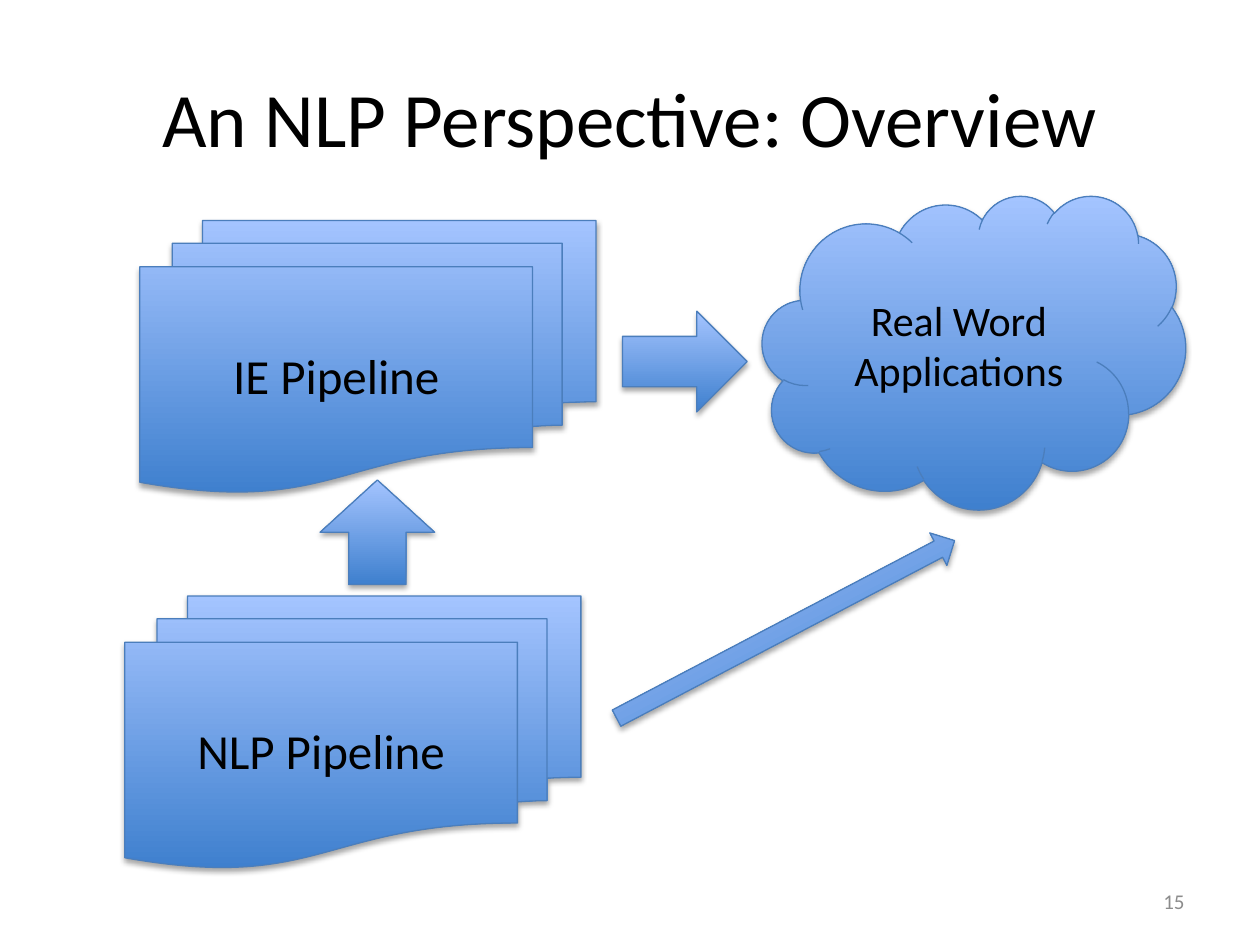
from lxml.etree import SubElement
from pptx import Presentation
from pptx.dml.color import RGBColor
from pptx.enum.shapes import MSO_SHAPE as Preset
from pptx.enum.text import MSO_ANCHOR as Anchor, PP_ALIGN as Align
from pptx.oxml.ns import qn
from pptx.util import Inches, Pt

COLORS = {
    "text": "000000",
    "number": "8C8C8C",
    "bottom": "3F80CE",
    "top": "A4C4FF",
    "outline": "4B7EBC",
    "shadow": "000000",
}


def color(name):
    return RGBColor.from_string(COLORS[name])


def write_text(shape, text, size=28, ink="text", align=Align.CENTER):
    frame = shape.text_frame
    frame.word_wrap = True
    frame.vertical_anchor = Anchor.MIDDLE
    paragraph = frame.paragraphs[0]
    paragraph.text = text
    paragraph.alignment = align
    paragraph.font.name = "Calibri"
    paragraph.font.size = Pt(size)
    paragraph.font.color.rgb = color(ink)


class PipelineSlide:
    def __init__(self, presentation):
        self.slide = presentation.slides.add_slide(presentation.slide_layouts[5])

    def title(self, text, left, top, width, height):
        shape = self.slide.shapes.title
        shape.left, shape.top = Inches(left), Inches(top)
        shape.width, shape.height = Inches(width), Inches(height)
        write_text(shape, text, size=44)

    def label(self, text, left, top, width, height, **style):
        shape = self.slide.shapes.add_textbox(
            Inches(left), Inches(top), Inches(width), Inches(height))
        write_text(shape, text, **style)

    def block(self, preset, left, top, width, height, text=None, size=28, rotation=0):
        shape = self.slide.shapes.add_shape(
            preset, Inches(left), Inches(top), Inches(width), Inches(height))
        shape.rotation = rotation
        shape.fill.gradient()
        shape.fill.gradient_angle = 90
        for stop, name, position in zip(shape.fill.gradient_stops, ("bottom", "top"), (0, 1)):
            stop.color.rgb = color(name)
            stop.position = position
        shape.line.color.rgb = color("outline")
        shape.line.width = Pt(0.75)
        self.add_shadow(shape)
        if text:
            write_text(shape, text, size=size)

    def add_shadow(self, shape):
        shape.shadow.inherit = False
        effects = shape.element.spPr.find(qn("a:effectLst"))
        shadow = SubElement(effects, qn("a:outerShdw"), blurRad=str(Pt(3.1)),
                            dist=str(Pt(1.8)), dir="5400000", rotWithShape="0")
        tint = SubElement(shadow, qn("a:srgbClr"), val=COLORS["shadow"])
        SubElement(tint, qn("a:alpha"), val="35000")


def main():
    presentation = Presentation()
    presentation.slide_width, presentation.slide_height = Inches(10), Inches(7.5)
    page = PipelineSlide(presentation)
    page.title("An NLP Perspective: Overview", 0.5, 0.3, 9, 1.25)
    for text, left, top in (("NLP Pipeline", 0.99, 4.73), ("IE Pipeline", 1.11, 1.75)):
        page.block(Preset.FLOWCHART_MULTIDOCUMENT, left, top, 3.62, 2.16, text)
    page.block(Preset.UP_ARROW, 2.54, 3.81, 0.91, 0.83)
    page.block(Preset.CLOUD, 6.05, 1.55, 3.36, 2.49, "Real Word Applications", size=24)
    page.block(Preset.RIGHT_ARROW, 4.72, 4.85, 3.03, 0.29, rotation=332.3)
    page.block(Preset.RIGHT_ARROW, 4.94, 2.47, 0.99, 0.8)
    page.label("15", 7.17, 6.95, 2.33, 0.4, size=12, ink="number", align=Align.RIGHT)
    presentation.save("out.pptx")


if __name__ == "__main__":
    main()
